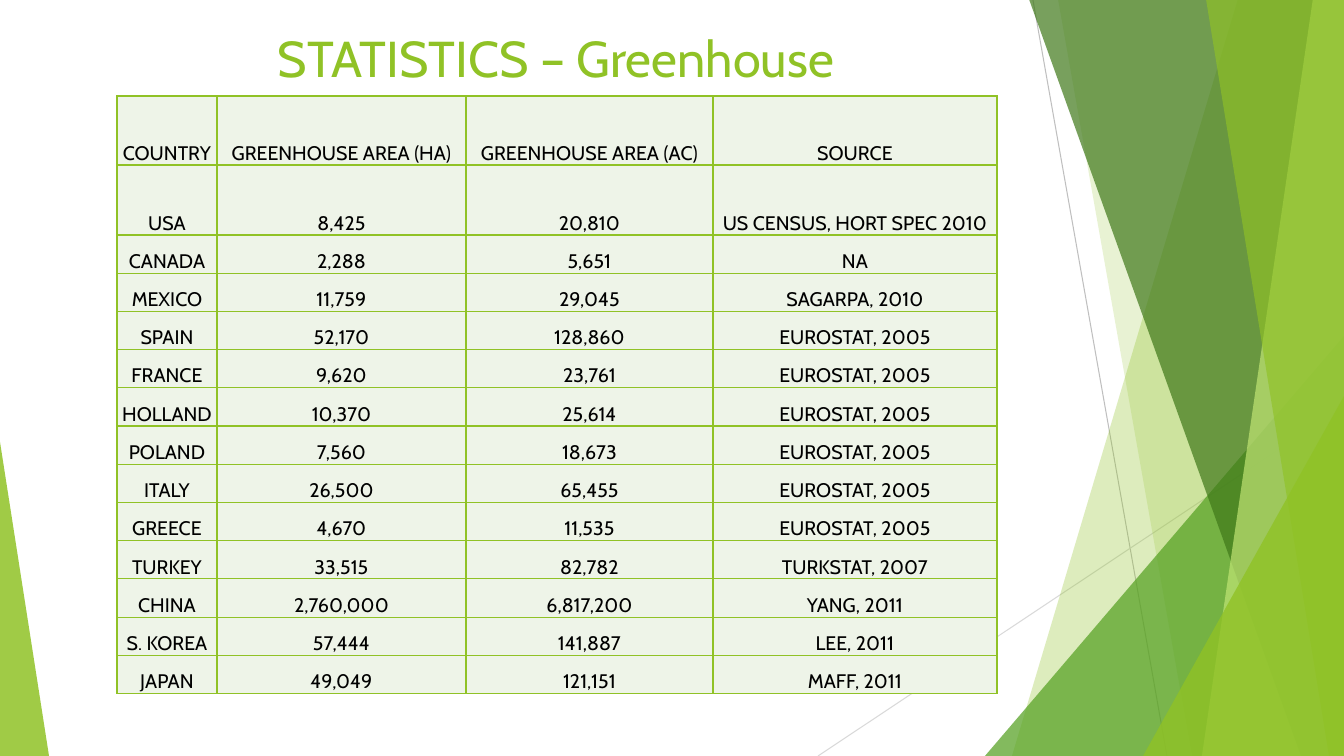
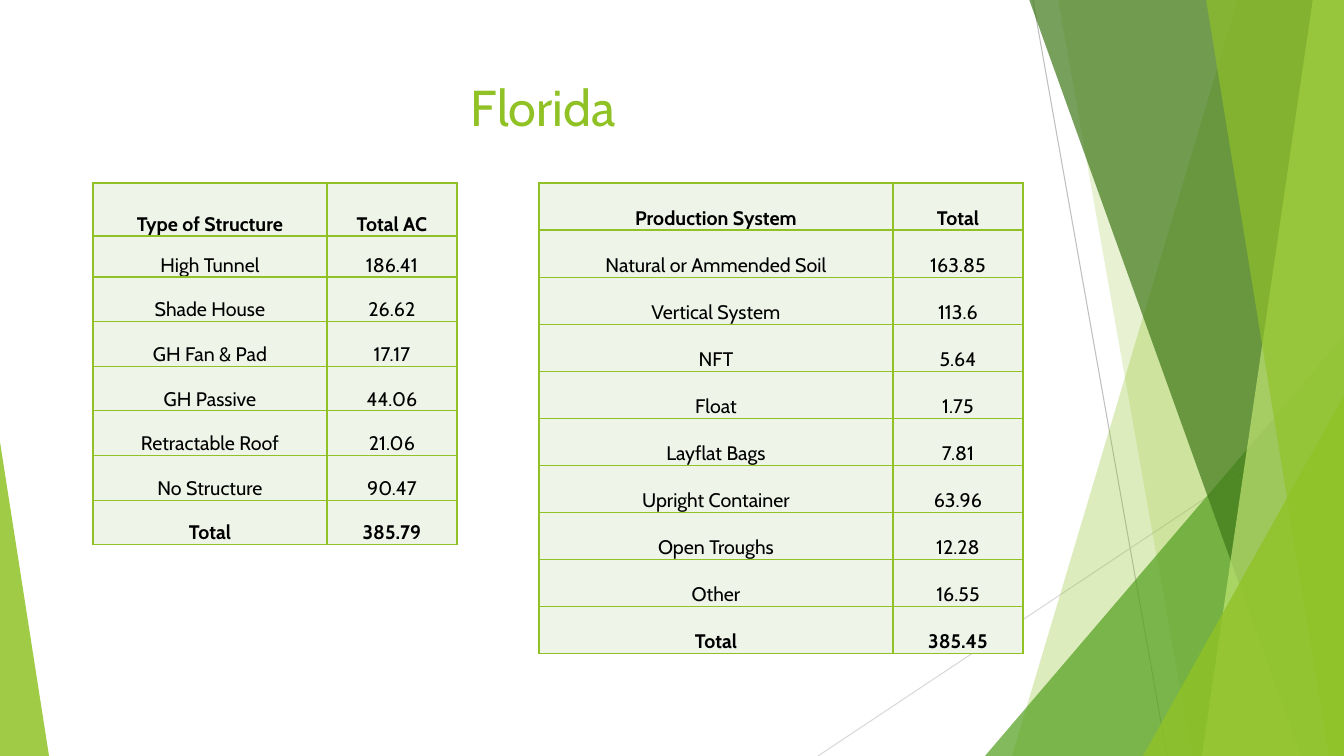
from lxml.etree import SubElement
from pptx import Presentation
from pptx.dml.color import RGBColor
from pptx.enum.shapes import MSO_CONNECTOR as CONNECTOR, MSO_SHAPE as SHAPE
from pptx.enum.text import MSO_ANCHOR as ANCHOR, PP_ALIGN as ALIGN
from pptx.oxml import parse_xml
from pptx.oxml.ns import nsdecls, qn
from pptx.util import Emu, Pt

WIDTH, HEIGHT = 1344, 756
SCALE = 914400 / 100.8
FONT = "Cabin"
COLORS = {
    "lime": "90C226",
    "leaf": "54A021",
    "forest": "3F7819",
    "pale": "C0E474",
    "cell": "EEF4E8",
    "text": "000000",
    "gray": "BFBFBF",
    "light_gray": "D9D9D9",
}


def px(value):
    """Turn pixels into EMU."""
    return Emu(round(value * SCALE))


def rgb(name):
    """Look up a named colour."""
    return RGBColor.from_string(COLORS[name])


class Deck:
    """Holds the presentation, its style and the current slide."""

    def __init__(self):
        """Start an empty widescreen deck."""
        self.deck = Presentation()
        self.deck.slide_width = px(WIDTH)
        self.deck.slide_height = px(HEIGHT)
        self.shapes = None

    def page(self, title, left, top):
        """Add a slide with the shared backdrop and a title."""
        self.shapes = self.deck.slides.add_slide(self.deck.slide_layouts[6]).shapes
        self.backdrop()
        self.title(title, left, top)

    def backdrop(self):
        """Draw the thin lines and overlapping green facets."""
        self.line(1033, 0, 1167, HEIGHT, "gray")
        self.line(WIDTH, 406, 818, HEIGHT, "light_gray")
        self.facet(1238, 1012, "lime", 30)
        self.facet(1058, 1192, "lime", 20)
        self.triangle(985, 336, 359, 1, "leaf", 72)
        self.facet(1029, 1301, "forest", 70)
        self.facet(1313, 1202, "pale", 70)
        self.facet(1206, 1329, "lime", 65)
        self.triangle(1143, 396, 201, 1, "lime", 80)
        self.triangle(0, 442, 49, 0, "lime", 85)

    def line(self, x1, y1, x2, y2, color):
        """Draw a thin straight line."""
        line = self.shapes.add_connector(
            CONNECTOR.STRAIGHT, px(x1), px(y1), px(x2), px(y2))
        line.line.color.rgb = rgb(color)
        line.line.width = Pt(0.75)
        SubElement(line._element.spPr, qn("a:effectLst"))

    def paint(self, shape, color, opacity):
        """Give a shape a translucent fill, no outline and no shadow."""
        shape.shadow.inherit = False
        shape.line.fill.background()
        shape.fill.solid()
        shape.fill.fore_color.rgb = rgb(color)
        tint = shape._element.spPr.find(qn("a:solidFill"))[0]
        SubElement(tint, qn("a:alpha")).set("val", str(opacity * 1000))

    def facet(self, top_x, bottom_x, color, opacity):
        """Fill from a slanted left edge to the right side of the slide."""
        outline = self.shapes.build_freeform(top_x, -1, scale=SCALE)
        outline.add_line_segments(
            [(WIDTH, -1), (WIDTH, HEIGHT), (bottom_x, HEIGHT)], close=True)
        self.paint(outline.convert_to_shape(), color, opacity)

    def triangle(self, left, top, width, apex, color, opacity):
        """Draw a triangle standing on the bottom edge of the slide."""
        shape = self.shapes.add_shape(
            SHAPE.ISOSCELES_TRIANGLE, px(left), px(top), px(width), px(HEIGHT - top))
        shape.adjustments[0] = apex
        self.paint(shape, color, opacity)

    def label(self, frame, text, size, color, bold=False):
        """Put one centred paragraph in a text frame."""
        para = frame.paragraphs[0]
        para.text = text
        para.alignment = ALIGN.CENTER
        para.font.name = FONT
        para.font.size = Pt(size)
        para.font.bold = bold
        para.font.color.rgb = rgb(color)

    def title(self, text, left, top):
        """Add the slide title."""
        box = self.shapes.add_textbox(px(left), px(top), px(948), px(78))
        box.text_frame.word_wrap = True
        box.text_frame.vertical_anchor = ANCHOR.MIDDLE
        self.label(box.text_frame, text, 36, "lime")

    def table(self, left, top, widths, height, rows, tall=(), bold_rows=()):
        """Add a table; rows after the tall ones share the height left."""
        table = self.shapes.add_table(
            len(rows), len(widths), px(left), px(top), px(sum(widths)), px(height)).table
        table.first_row = table.horz_banding = False
        for column, width in zip(table.columns, widths):
            column.width = px(width)
        even = (height - sum(tall)) / (len(rows) - len(tall))
        for index, values in enumerate(rows):
            table.rows[index].height = px(tall[index] if index < len(tall) else even)
            for cell, value in zip(table.rows[index].cells, values):
                self.cell(cell, value, index in bold_rows)

    def cell(self, cell, text, bold):
        """Fill, frame and letter one table cell."""
        cell.margin_left = cell.margin_right = cell.margin_top = px(1)
        cell.margin_bottom = 0
        cell.vertical_anchor = ANCHOR.BOTTOM
        cell.fill.solid()
        cell.fill.fore_color.rgb = rgb("cell")
        for index, side in enumerate("LRTB"):
            cell._tc.tcPr.insert(index, parse_xml(
                f'<a:ln{side} {nsdecls("a")} w="12700"><a:solidFill>'
                f'<a:srgbClr val="{COLORS["lime"]}"/></a:solidFill></a:ln{side}>'))
        self.label(cell.text_frame, text, 14, "text", bold)


GREENHOUSES = [
    ("COUNTRY", "GREENHOUSE AREA (HA)", "GREENHOUSE AREA (AC)", "SOURCE"),
    ("USA", "8,425", "20,810", "US CENSUS, HORT SPEC 2010"),
    ("CANADA", "2,288", "5,651", "NA"),
    ("MEXICO", "11,759", "29,045", "SAGARPA, 2010"),
    ("SPAIN", "52,170", "128,860", "EUROSTAT, 2005"),
    ("FRANCE", "9,620", "23,761", "EUROSTAT, 2005"),
    ("HOLLAND", "10,370", "25,614", "EUROSTAT, 2005"),
    ("POLAND", "7,560", "18,673", "EUROSTAT, 2005"),
    ("ITALY", "26,500", "65,455", "EUROSTAT, 2005"),
    ("GREECE", "4,670", "11,535", "EUROSTAT, 2005"),
    ("TURKEY", "33,515", "82,782", "TURKSTAT, 2007"),
    ("CHINA", "2,760,000", "6,817,200", "YANG, 2011"),
    ("S. KOREA", "57,444", "141,887", "LEE, 2011"),
    ("JAPAN", "49,049", "121,151", "MAFF, 2011"),
]
STRUCTURES = [
    ("Type of Structure", "Total AC"),
    ("High Tunnel", "186.41"),
    ("Shade House", "26.62"),
    ("GH Fan & Pad", "17.17"),
    ("GH Passive", "44.06"),
    ("Retractable Roof", "21.06"),
    ("No Structure", "90.47"),
    ("Total", "385.79"),
]
SYSTEMS = [
    ("Production System", "Total"),
    ("Natural or Ammended Soil", "163.85"),
    ("Vertical System", "113.6"),
    ("NFT", "5.64"),
    ("Float", "1.75"),
    ("Layflat Bags", "7.81"),
    ("Upright Container", "63.96"),
    ("Open Troughs", "12.28"),
    ("Other", "16.55"),
    ("Total", "385.45"),
]

show = Deck()
show.page("STATISTICS – Greenhouse", 82, 18)
show.table(117, 96, (100, 249, 247, 284), 598, GREENHOUSES, tall=(69, 70))

show.page("Florida ", 75, 67)
show.table(93, 183, (234, 130), 362, STRUCTURES, tall=(53, 41),
           bold_rows=(0, len(STRUCTURES) - 1))
show.table(539, 183, (354, 130), 471, SYSTEMS, bold_rows=(0, len(SYSTEMS) - 1))

show.deck.save("out.pptx")
